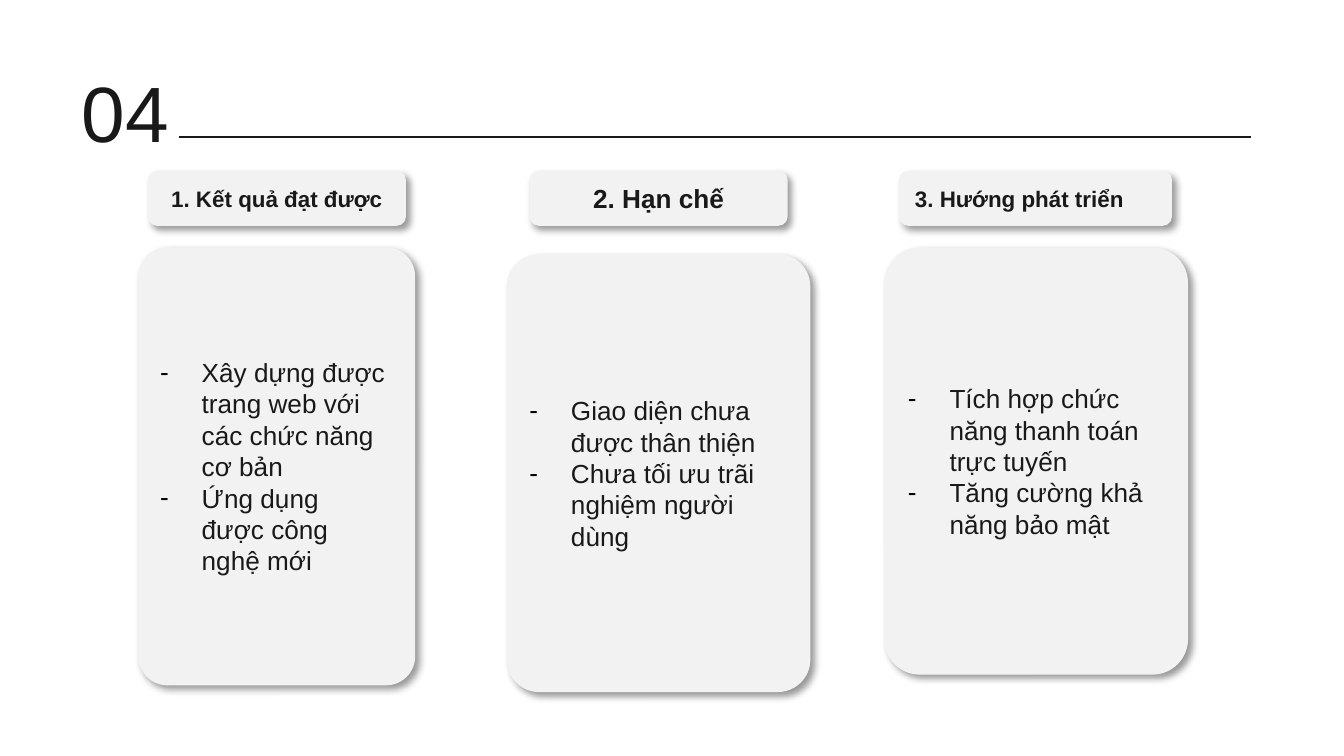
from lxml import etree
from pptx import Presentation
from pptx.dml.color import RGBColor
from pptx.enum.shapes import MSO_CONNECTOR, MSO_SHAPE
from pptx.enum.text import MSO_ANCHOR, PP_ALIGN
from pptx.oxml.ns import qn
from pptx.util import Inches, Pt

INK = "191919"
PANEL = "F2F2F2"
FONT = "Arial"
ITEM_INDENT = 0.31

# heading, heading size, heading alignment, heading box, body box, corner, items
COLUMNS = [
    ("1. Kết quả đạt được", 12, PP_ALIGN.CENTER,
     (1.1, 1.27, 1.92, 0.41), (1.03, 1.84, 2.06, 3.26), 0.105,
     ["Xây dựng được trang web với các chức năng cơ bản",
      "Ứng dụng  được công nghệ mới"]),
    ("2. Hạn chế", 14, PP_ALIGN.CENTER,
     (3.94, 1.27, 1.92, 0.41), (3.77, 1.89, 2.26, 3.26), 0.107,
     ["Giao diện chưa được thân thiện",
      "Chưa tối ưu trãi nghiệm người dùng"]),
    ("3. Hướng phát triển", 12, PP_ALIGN.LEFT,
     (6.69, 1.27, 2.03, 0.41), (6.58, 1.84, 2.26, 3.18), 0.117,
     ["Tích hợp chức năng thanh toán trực tuyến",
      "Tăng cường khả năng bảo mật"]),
]


def color(value):
    return RGBColor.from_string(value)


def write(para, text, size, bold=False, align=PP_ALIGN.LEFT):
    para.text = text
    para.alignment = align
    para.font.name = FONT
    para.font.size = Pt(size)
    para.font.bold = bold
    para.font.color.rgb = color(INK)


def add_bullet(para):
    """Give the paragraph a black dash with a hanging indent."""
    props = para._p.get_or_add_pPr()
    props.set("marL", str(Inches(ITEM_INDENT)))
    props.set("indent", str(-Inches(ITEM_INDENT)))
    bullet_color = etree.Element(qn("a:buClr"))
    etree.SubElement(bullet_color, qn("a:srgbClr"), val="000000")
    bullet_font = etree.Element(qn("a:buFont"), typeface=FONT)
    bullet_char = etree.Element(qn("a:buChar"), char="-")
    defaults = props.find(qn("a:defRPr"))
    for part in (bullet_color, bullet_font, bullet_char):
        defaults.addprevious(part)


def add_soft_shadow(shape):
    shape.shadow.inherit = False
    effects = shape._element.spPr.find(qn("a:effectLst"))
    shadow = etree.SubElement(
        effects, qn("a:outerShdw"), blurRad=str(Pt(4)), dist=str(Pt(3)),
        dir=str(45 * 60000), algn="tl", rotWithShape="0")
    shade = etree.SubElement(shadow, qn("a:srgbClr"), val="000000")
    etree.SubElement(shade, qn("a:alpha"), val="40000")


def add_card(page, box, corner):
    """Add a rounded grey card and return its text frame."""
    card = page.shapes.add_shape(
        MSO_SHAPE.ROUNDED_RECTANGLE, *map(Inches, box))
    card.adjustments[0] = corner
    card.fill.solid()
    card.fill.fore_color.rgb = color(PANEL)
    card.line.fill.background()
    add_soft_shadow(card)
    frame = card.text_frame
    frame.word_wrap = True
    frame.vertical_anchor = MSO_ANCHOR.MIDDLE
    return frame


def add_column(page, heading, size, align, heading_box, body_box, corner, items):
    body = add_card(page, body_box, corner)
    for index, item in enumerate(items):
        para = body.add_paragraph() if index else body.paragraphs[0]
        write(para, item, 14)
        add_bullet(para)
    label = add_card(page, heading_box, 0.167)
    write(label.paragraphs[0], heading, size, True, align)


def add_header(page, left, top, width, height):
    """Place the section number and the rule that runs to the right edge."""
    number_width = 0.94
    number = page.shapes.add_textbox(
        Inches(left), Inches(top), Inches(number_width), Inches(height))
    frame = number.text_frame
    frame.word_wrap = True
    frame.vertical_anchor = MSO_ANCHOR.MIDDLE
    frame.margin_left = frame.margin_right = Inches(0.1)
    frame.margin_top = frame.margin_bottom = Inches(0.1)
    write(frame.paragraphs[0], "04", 42)

    rule_y = Inches(top + 0.56)
    rule = page.shapes.add_connector(
        MSO_CONNECTOR.STRAIGHT, Inches(left + 0.82), rule_y,
        Inches(left + width), rule_y)
    rule.line.color.rgb = color(INK)
    rule.line.width = Pt(0.75)
    etree.SubElement(rule._element.spPr, qn("a:effectLst"))


def main():
    deck = Presentation()
    deck.slide_width = Inches(10)
    deck.slide_height = deck.slide_width * 9 // 16
    page = deck.slides.add_slide(deck.slide_layouts[6])
    add_header(page, 0.51, 0.46, 8.8, 0.73)
    for column in COLUMNS:
        add_column(page, *column)
    deck.save("out.pptx")


if __name__ == "__main__":
    main()
